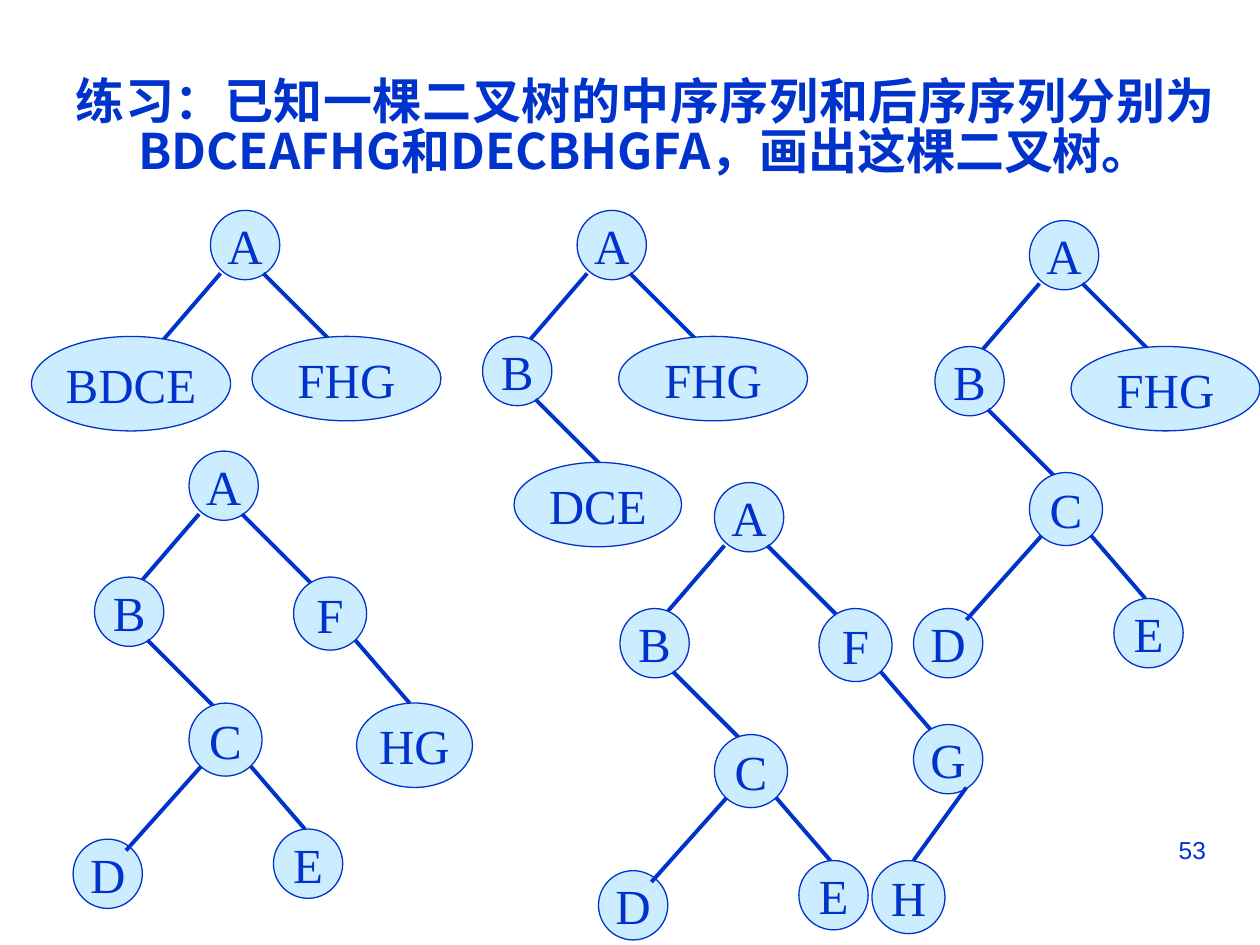
from lxml import etree
from pptx import Presentation
from pptx.dml.color import RGBColor
from pptx.enum.shapes import MSO_CONNECTOR, MSO_SHAPE
from pptx.enum.text import MSO_ANCHOR, MSO_AUTO_SIZE, PP_ALIGN
from pptx.oxml.ns import qn
from pptx.util import Inches, Pt

LINE = MSO_CONNECTOR.STRAIGHT
OVAL = MSO_SHAPE.OVAL
TOP, MIDDLE = MSO_ANCHOR.TOP, MSO_ANCHOR.MIDDLE
CENTER, RIGHT, JUSTIFY = PP_ALIGN.CENTER, PP_ALIGN.RIGHT, PP_ALIGN.JUSTIFY
BLUE, PALE = "0033CC", "CCECFF"
rgb = RGBColor.from_string


def write(sp, text, size=28, font="Times New Roman", bold=False,
          align=CENTER, anchor=MIDDLE, wrap=False):
    tf = sp.text_frame
    tf.word_wrap = wrap
    tf.auto_size = MSO_AUTO_SIZE.NONE
    tf.vertical_anchor = anchor
    p = tf.paragraphs[0]
    p.alignment = align
    r = p.add_run()
    r.text = text
    r.font.size = Pt(size)
    r.font.name = font
    r.font.bold = bold
    r.font.color.rgb = rgb(BLUE)
    ea = etree.SubElement(r._r.get_or_add_rPr(), qn("a:ea"))
    ea.set("typeface", font)
    return p


prs = Presentation()
prs.slide_width, prs.slide_height = Inches(10), Inches(7.5)
s = prs.slides.add_slide(prs.slide_layouts[5])

title = s.shapes.title
title.left, title.top = Inches(0.5), Inches(0.58)
title.width, title.height = Inches(9.25), Inches(1.04)
p = write(title, "练习：已知一棵二叉树的中序序列和后序序列分别为"
          "BDCEAFHG和DECBHGFA，画出这棵二叉树。",
          font="Noto Sans CJK SC", bold=True, align=JUSTIFY, anchor=TOP, wrap=True)
p.line_spacing = 0.85
pPr = p._p.get_or_add_pPr()
pPr.set("marL", str(Inches(0.5)))
pPr.set("indent", str(Inches(-0.5)))

number = s.shapes.add_textbox(Inches(7.17), Inches(6.58), Inches(2.5), Inches(0.52))
write(number, "53", size=14, font="Arial", align=RIGHT, anchor=TOP, wrap=True)

# Left, top, width, height of each node, measured from the root's corner
NODES = {
    "A": (0, 0, 0.55, 0.55),
    "B": (-0.75, 1, 0.55, 0.55),
    "C": (0, 2, 0.58, 0.58),
    "D": (-0.92, 3.08, 0.55, 0.55),
    "E": (0.67, 3, 0.55, 0.55),
    "F": (0.83, 1, 0.58, 0.58),
    "G": (1.58, 1.92, 0.55, 0.55),
    "H": (1.25, 3, 0.58, 0.58),
    "BDCE": (-1.42, 1, 1.58, 0.75),
    "FHG": (0.33, 1, 1.5, 0.67),
    "DCE": (-0.5, 2, 1.33, 0.67),
    "HG": (1.33, 2, 0.92, 0.67),
}

# Edge from the parent down to each node: x1, y1, x2, y2
A_LEFT, A_RIGHT = (0.08, 0.5, -0.42, 1.08), (0.42, 0.5, 1, 1.08)
B_RIGHT, F_RIGHT = (-0.33, 1.5, 0.25, 2.08), (1.25, 1.42, 1.75, 2)
EDGES = {
    "B": A_LEFT, "BDCE": A_LEFT,
    "F": A_RIGHT, "FHG": A_RIGHT,
    "C": B_RIGHT, "DCE": B_RIGHT,
    "G": F_RIGHT, "HG": F_RIGHT,
    "D": (0.17, 2.42, -0.5, 3.17),
    "E": (0.42, 2.42, 0.92, 3),
    "H": (2, 2.42, 1.58, 3),
}
EDGE_ABOVE_NODE = "D"

# Root corner and the nodes in drawing order
TREES = [
    (1.67, 1.67, "A FHG BDCE"),
    (4.58, 1.67, "A FHG B DCE"),
    (8.17, 1.75, "A FHG B D E C"),
    (1.5, 3.58, "A B D E C HG F"),
    (5.67, 3.83, "A B D E C G F H"),
]

for left, top, names in TREES:
    for name in names.split():
        x, y, w, h = NODES[name]
        node = s.shapes.add_shape(OVAL, Inches(left + x), Inches(top + y),
                                  Inches(w), Inches(h))
        node.shadow.inherit = False
        node.fill.solid()
        node.fill.fore_color.rgb = rgb(PALE)
        node.line.color.rgb = rgb(BLUE)
        node.line.width = Pt(0.75)
        write(node, name)

        if name in EDGES:
            x1, y1, x2, y2 = EDGES[name]
            edge = s.shapes.add_connector(LINE, Inches(left + x1), Inches(top + y1),
                                          Inches(left + x2), Inches(top + y2))
            edge.line.color.rgb = rgb(BLUE)
            edge.line.width = Pt(2.25)
            etree.SubElement(edge._element.spPr, qn("a:effectLst"))
            if name != EDGE_ABOVE_NODE:
                node._element.addprevious(edge._element)

prs.save("out.pptx")
